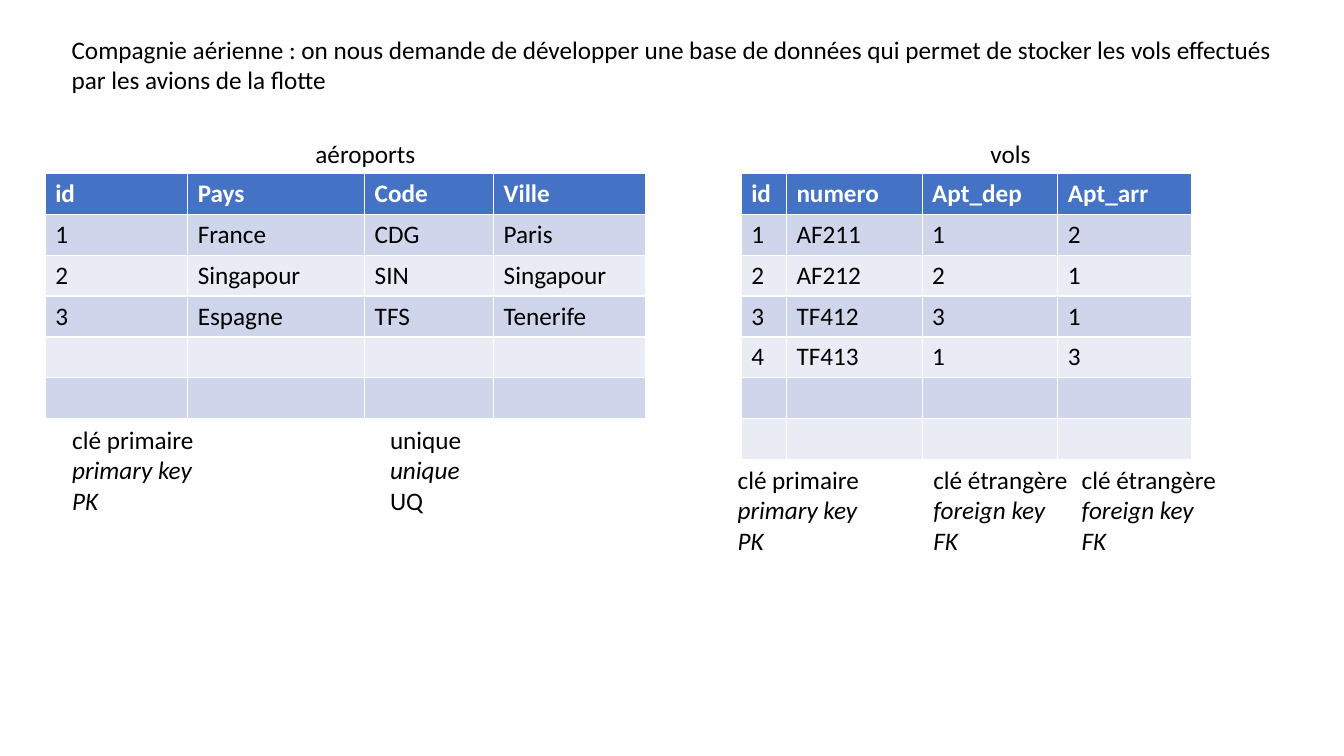
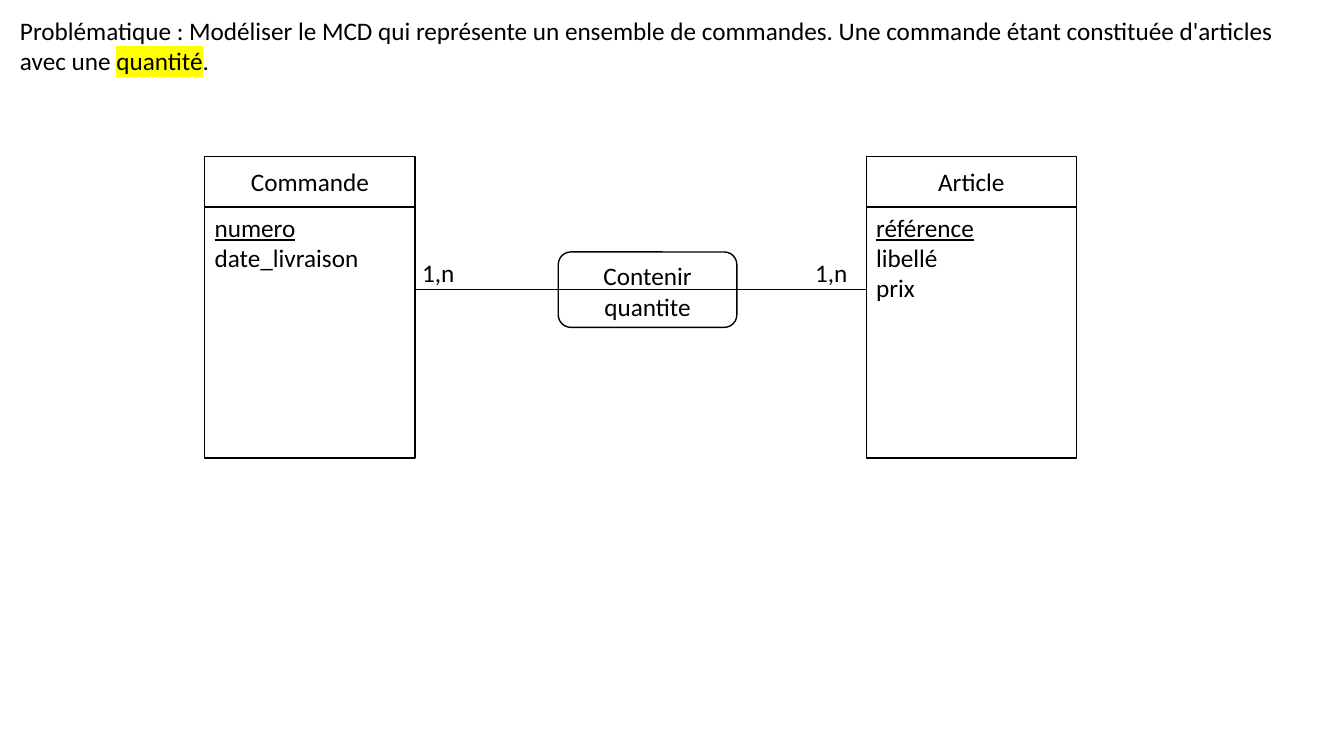
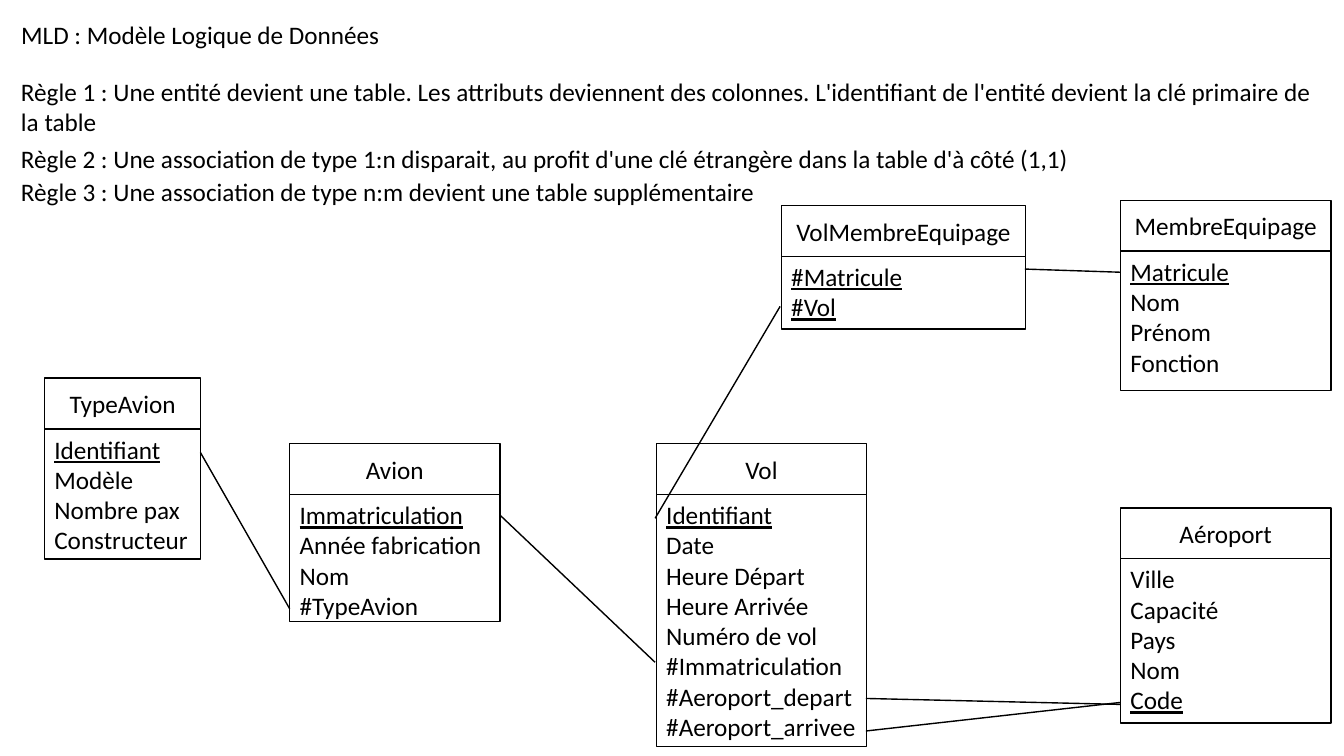
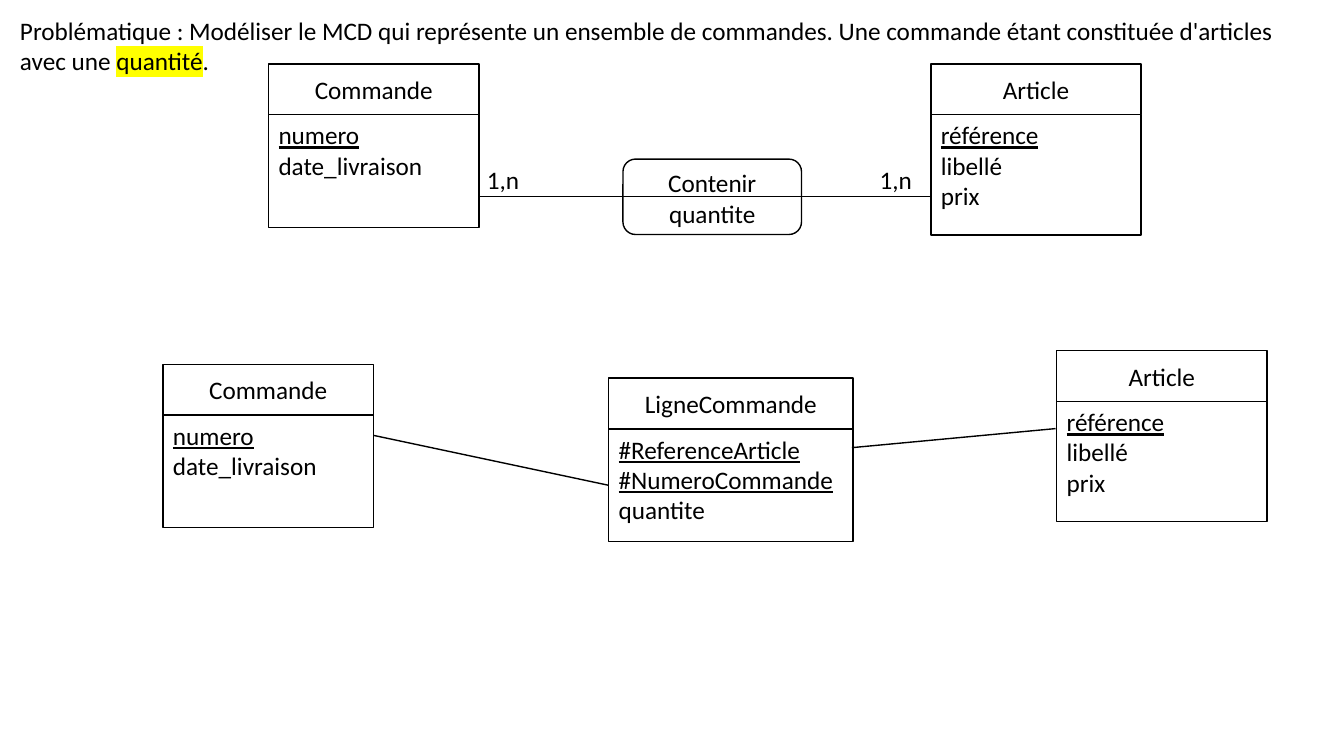
from lxml import etree
from pptx import Presentation
from pptx import util as u
from pptx.dml.color import RGBColor
from pptx.enum import shapes, text
from pptx.oxml import ns

BLACK = RGBColor(0x00, 0x00, 0x00)
WHITE = RGBColor(0xFF, 0xFF, 0xFF)
HEADER_BLUE = RGBColor(0x44, 0x72, 0xC4)
BAND_DARK = RGBColor(0xCF, 0xD5, 0xEA)
BAND_LIGHT = RGBColor(0xE9, 0xEB, 0xF5)
YELLOW = RGBColor(0xFF, 0xFF, 0x00)
FONT = "Calibri"
FONT_SIZE = u.Pt(18)
LINE_WIDTH = u.Pt(1)
ROW_HEIGHT = 1.03
HEADER_HEIGHT = 1.28
TEXT_HEIGHT = 1.02
ENTITY_WIDTH = 5.3
LINE_ENTITY_WIDTH = 6.16

ORDER_TITLE = [
    "Problématique : Modéliser le MCD qui représente un ensemble de commandes. "
    "Une commande étant constituée d'articles avec une ",
    "quantité",
    ".",
]
ORDER_FIELDS = ["numero", "date_livraison"]
ARTICLE_FIELDS = ["référence", "libellé", "prix"]
PRIMARY_KEY = ["clé primaire", "primary key", "PK"]
FOREIGN_KEY = ["clé étrangère", "foreign key", "FK"]

SLIDES = [
    {
        "title": [
            "Compagnie aérienne : on nous demande de développer une base de données "
            "qui permet de stocker les vols effectués par les avions de la flotte"
        ],
        "title_box": (1.55, 0.74, 31.65, 1.8),
        "tables": [
            (1.14, 4.37, [3.59, 4.46, 3.25, 3.82], [
                ["id", "Pays", "Code", "Ville"],
                ["1", "France", "CDG", "Paris"],
                ["2", "Singapour", "SIN", "Singapour"],
                ["3", "Espagne", "TFS", "Tenerife"],
                [""] * 4,
                [""] * 4,
            ]),
            (18.68, 4.37, [1.14, 3.42, 3.42, 3.38], [
                ["id", "numero", "Apt_dep", "Apt_arr"],
                ["1", "AF211", "1", "2"],
                ["2", "AF212", "2", "1"],
                ["3", "TF412", "3", "1"],
                ["4", "TF413", "1", "3"],
                [""] * 4,
                [""] * 4,
            ]),
        ],
        "labels": [
            (7.7, 3.35, 3.3, ["aéroports"], ()),
            (24.71, 3.35, 1.8, ["vols"], ()),
            (1.57, 10.57, 3.9, PRIMARY_KEY, (1, 2)),
            (9.58, 10.57, 3, ["unique", "unique", "UQ"], (1,)),
            (18.34, 11.58, 3.9, PRIMARY_KEY, (1, 2)),
            (23.27, 11.58, 4.1, FOREIGN_KEY, (1, 2)),
            (27.01, 11.58, 4.1, FOREIGN_KEY, (1, 2)),
        ],
    },
    {
        "title": ORDER_TITLE,
        "title_box": (0.25, 0.25, 32.59, 1.8),
        "entities": [
            ("Commande", 5.16, 3.94, ENTITY_WIDTH, 6.32, ORDER_FIELDS, (0,)),
            ("Article", 21.83, 3.94, ENTITY_WIDTH, 6.32, ARTICLE_FIELDS, (0,)),
        ],
        "association": (14.07, 6.35),
    },
    {
        "title": ["MLD : Modèle Logique de Données"],
        "title_box": (0.28, 0.36, 12, TEXT_HEIGHT),
        "labels": [
            (0.28, 1.8, 33.3, [
                "Règle 1 : Une entité devient une table. Les attributs deviennent des colonnes. "
                "L'identifiant de l'entité devient la clé primaire de la table"], ()),
            (0.28, 3.48, 33.3, [
                "Règle 2 : Une association de type 1:n disparait, au profit d'une clé étrangère "
                "dans la table d'à côté (1,1)"], ()),
            (0.28, 4.32, 33.3, [
                "Règle 3 : Une association de type n:m devient une table supplémentaire"], ()),
        ],
        "entities": [
            ("Vol", 16.54, 11.18, ENTITY_WIDTH, 6.35, [
                "Identifiant", "Date", "Heure Départ", "Heure Arrivée", "Numéro de vol",
                "#Immatriculation", "#Aeroport_depart", "#Aeroport_arrivee"], (0,)),
            ("Avion", 7.3, 11.18, ENTITY_WIDTH, 3.2, [
                "Immatriculation", "Année fabrication", "Nom", "#TypeAvion"], (0,)),
            ("TypeAvion", 1.12, 9.53, 3.94, 3.28, [
                "Identifiant", "Modèle", "Nombre pax", "Constructeur"], (0,)),
            ("Aéroport", 28.24, 12.8, ENTITY_WIDTH, 4.14, [
                "Ville", "Capacité", "Pays", "Nom", "Code"], (4,)),
            ("MembreEquipage", 28.24, 5.05, ENTITY_WIDTH, 3.51, [
                "Matricule", "Nom", "Prénom", "Fonction"], (0,)),
            ("VolMembreEquipage", 19.69, 5.18, LINE_ENTITY_WIDTH, 1.83, [
                "#Matricule", "#Vol"], (0, 1)),
        ],
        "links": [
            (12.6, 12.98, 16.51, 16.69, None),
            (5.05, 11.4, 7.3, 15.34, None),
            (21.82, 17.6, 28.24, 17.75, None),
            (21.82, 18.42, 28.24, 17.7, None),
            (25.83, 6.78, 28.24, 6.86, None),
            (19.66, 7.72, 16.51, 13.06, None),
        ],
    },
    {
        "title": ORDER_TITLE,
        "title_box": (0.25, 0.25, 32.59, 1.8),
        "entities": [
            ("Commande", 6.77, 1.61, ENTITY_WIDTH, 2.84, ORDER_FIELDS, (0,)),
            ("Article", 23.46, 1.61, ENTITY_WIDTH, 3.03, ARTICLE_FIELDS, (0,)),
            ("LigneCommande", 15.34, 9.53, LINE_ENTITY_WIDTH, 2.84, [
                "#ReferenceArticle", "#NumeroCommande", "quantite"], (0, 1)),
            ("Commande", 4.11, 9.18, ENTITY_WIDTH, 2.84, ORDER_FIELDS, (0,)),
            ("Article", 26.63, 8.84, ENTITY_WIDTH, 3.03, ARTICLE_FIELDS, (0,)),
        ],
        "association": (15.7, 4.01),
        "links": [
            (9.41, 10.97, 15.34, 12.23, "LigneCommande"),
            (21.47, 11.28, 26.6, 10.8, None),
        ],
    },
]


def write(holder, lines, align=text.PP_ALIGN.LEFT, italic=(), underlined=()):
    frame = holder.text_frame
    for index, line in enumerate(lines):
        paragraph = frame.paragraphs[0] if index == 0 else frame.add_paragraph()
        paragraph.text = line
        paragraph.alignment = align
        paragraph.font.name = FONT
        paragraph.font.size = FONT_SIZE
        paragraph.font.color.rgb = BLACK
        paragraph.font.italic = index in italic
        paragraph.font.underline = index in underlined


def add_box(slide, kind, left, top, width, height, anchor):
    shape = slide.shapes.add_shape(kind, u.Cm(left), u.Cm(top), u.Cm(width), u.Cm(height))
    shape.shadow.inherit = False
    shape.fill.solid()
    shape.fill.fore_color.rgb = WHITE
    shape.line.color.rgb = BLACK
    shape.line.width = LINE_WIDTH
    shape.text_frame.word_wrap = True
    shape.text_frame.vertical_anchor = anchor
    return shape


presentation = Presentation()
presentation.slide_width = u.Cm(33.87)
presentation.slide_height = u.Cm(19.05)
title_only = presentation.slide_layouts[5]

for content in SLIDES:
    slide = presentation.slides.add_slide(title_only)
    title = slide.shapes.title
    title.left, title.top, title.width, title.height = map(u.Cm, content["title_box"])
    title.text_frame.word_wrap = True
    title.text_frame.auto_size = text.MSO_AUTO_SIZE.NONE
    title.text_frame.vertical_anchor = text.MSO_ANCHOR.TOP
    write(title, [""])
    for index, part in enumerate(content["title"]):
        run = title.text_frame.paragraphs[0].add_run()
        run.text = part
        if index == 1:
            highlight = etree.SubElement(run.font._element, ns.qn("a:highlight"))
            etree.SubElement(highlight, ns.qn("a:srgbClr"), val=str(YELLOW))

    for left, top, widths, rows in content.get("tables", []):
        table = slide.shapes.add_table(
            len(rows), len(widths), u.Cm(left), u.Cm(top),
            u.Cm(sum(widths)), u.Cm(ROW_HEIGHT * len(rows))).table
        for column, width in zip(table.columns, widths):
            column.width = u.Cm(width)
        for row_index, row in enumerate(rows):
            table.rows[row_index].height = u.Cm(ROW_HEIGHT)
            for column_index, value in enumerate(row):
                cell = table.cell(row_index, column_index)
                write(cell, [value])
                cell.fill.solid()
                if row_index == 0:
                    cell.fill.fore_color.rgb = HEADER_BLUE
                    cell.text_frame.paragraphs[0].font.color.rgb = WHITE
                    cell.text_frame.paragraphs[0].font.bold = True
                else:
                    cell.fill.fore_color.rgb = BAND_DARK if row_index % 2 else BAND_LIGHT

    bodies = {}
    for name, left, top, width, height, fields, keys in content.get("entities", []):
        body = add_box(slide, shapes.MSO_SHAPE.RECTANGLE, left, top + HEADER_HEIGHT,
                       width, height, text.MSO_ANCHOR.TOP)
        write(body, fields, underlined=keys)
        bodies[name] = body
        header = add_box(slide, shapes.MSO_SHAPE.RECTANGLE, left, top,
                         width, HEADER_HEIGHT, text.MSO_ANCHOR.MIDDLE)
        write(header, [name], text.PP_ALIGN.CENTER)

    labels = list(content.get("labels", []))
    links = list(content.get("links", []))
    if "association" in content:
        left, top = content["association"]
        association = add_box(slide, shapes.MSO_SHAPE.ROUNDED_RECTANGLE, left, top,
                              4.5, 1.9, text.MSO_ANCHOR.TOP)
        write(association, ["Contenir", "quantite"], text.PP_ALIGN.CENTER)
        links.append((left - 3.63, top + 0.94, left + 7.75, top + 0.94, None))
        labels.append((left - 3.68, top, 1.35, ["1,n"], ()))
        labels.append((left + 6.22, top, 1.6, ["1,n"], ()))

    for start_x, start_y, end_x, end_y, joined in links:
        connector = slide.shapes.add_connector(
            shapes.MSO_CONNECTOR.STRAIGHT,
            u.Cm(start_x), u.Cm(start_y), u.Cm(end_x), u.Cm(end_y))
        connector.line.color.rgb = BLACK
        connector.line.width = LINE_WIDTH
        etree.SubElement(connector._element.spPr, ns.qn("a:effectLst"))
        if joined:
            connector.end_connect(bodies[joined], 1)

    for left, top, width, lines, italic in labels:
        label = slide.shapes.add_textbox(
            u.Cm(left), u.Cm(top), u.Cm(width), u.Cm(TEXT_HEIGHT))
        label.text_frame.word_wrap = True
        write(label, lines, italic=italic)

presentation.save("out.pptx")
